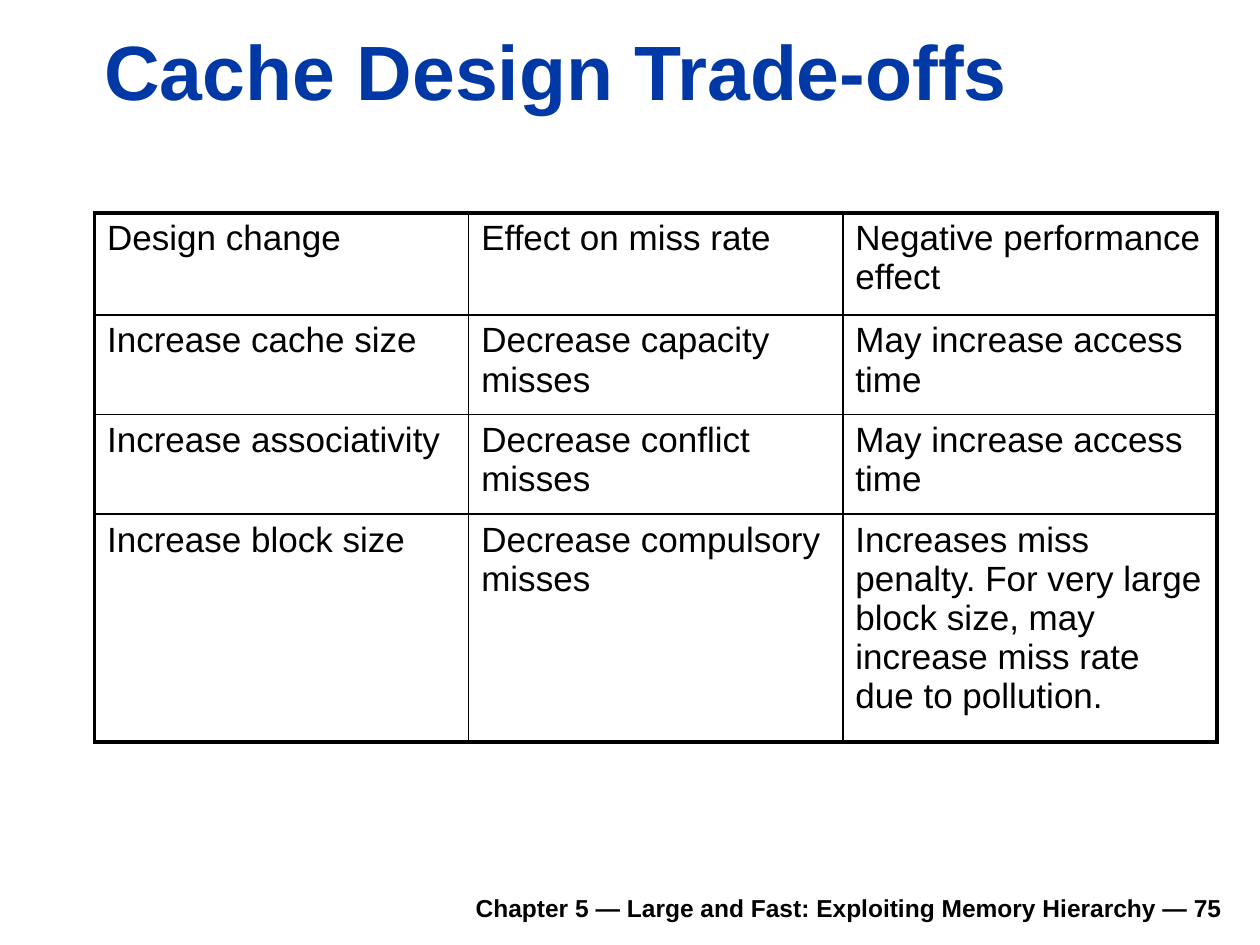
"""Build the slide on cache design trade-offs."""
import lxml.etree
import pptx
import pptx.dml.color
import pptx.enum.text
import pptx.oxml.ns
import pptx.util

Inches = pptx.util.Inches
Pt = pptx.util.Pt
PP_ALIGN = pptx.enum.text.PP_ALIGN
COLORS = {"title": "0039A6", "text": "000000", "border": "000000"}


def write(tf, text, color, align=PP_ALIGN.LEFT, **formats):
    tf.word_wrap = True
    p = tf.paragraphs[0]
    p.alignment = align
    r = p.add_run()
    r.text = text
    r.font.color.rgb = pptx.dml.color.RGBColor.from_string(COLORS[color])
    for name, value in {"name": "Arial", **formats}.items():
        setattr(r.font, name, value)


def add_borders(cell, widths):
    qn = pptx.oxml.ns.qn
    tcPr = cell._tc.get_or_add_tcPr()
    for i, (side, width) in enumerate(widths.items()):
        ln = lxml.etree.Element(qn(f"a:ln{side}"), w=str(Pt(width)))
        fill = lxml.etree.SubElement(ln, qn("a:solidFill"))
        lxml.etree.SubElement(fill, qn("a:srgbClr"), val=COLORS["border"])
        tcPr.insert(i, ln)


prs = pptx.Presentation()
prs.slide_width, prs.slide_height = Inches(10), Inches(7.5)
s = prs.slides.add_slide(prs.slide_layouts[6])

texts = [
    ("Chapter 5 — Large and Fast: Exploiting Memory Hierarchy — 75",
     (1.85, 6.98, 7.95, 0.39), "text", 14, PP_ALIGN.RIGHT),
    ("Cache Design Trade-offs",
     (0.73, 0.13, 8.52, 0.84), "title", 44, PP_ALIGN.LEFT),
]
for text, box, color, size, align in texts:
    tf = s.shapes.add_textbox(*map(Inches, box)).text_frame
    tf.vertical_anchor = pptx.enum.text.MSO_ANCHOR.BOTTOM
    write(tf, text, color, align, size=Pt(size), bold=True)

rows = [
    ("Design change", "Effect on miss rate", "Negative performance effect"),
    ("Increase cache size", "Decrease capacity misses", "May increase access time"),
    ("Increase associativity", "Decrease conflict misses", "May increase access time"),
    ("Increase block size", "Decrease compulsory misses",
     "Increases miss penalty. For very large block size, "
     "may increase miss rate due to pollution."),
]
heights = [0.81, 0.79, 0.79, 1.81]
row_lines = [2.25, 1.5, 1, 1, 2.25]
col_lines = [2.25, 1, 1, 2.25]

table = s.shapes.add_table(len(rows), 3, Inches(0.75), Inches(1.69),
                           Inches(8.9), Inches(sum(heights))).table
table.first_row = table.horz_banding = False
for col in table.columns:
    col.width = Inches(2.97)
for i, (row, height) in enumerate(zip(rows, heights)):
    table.rows[i].height = Inches(height)
    for j, text in enumerate(row):
        cell = table.cell(i, j)
        cell.fill.background()
        write(cell.text_frame, text, "text", size=Pt(20))
        add_borders(cell, {"L": col_lines[j], "R": col_lines[j + 1],
                           "T": row_lines[i], "B": row_lines[i + 1]})

prs.save("out.pptx")
